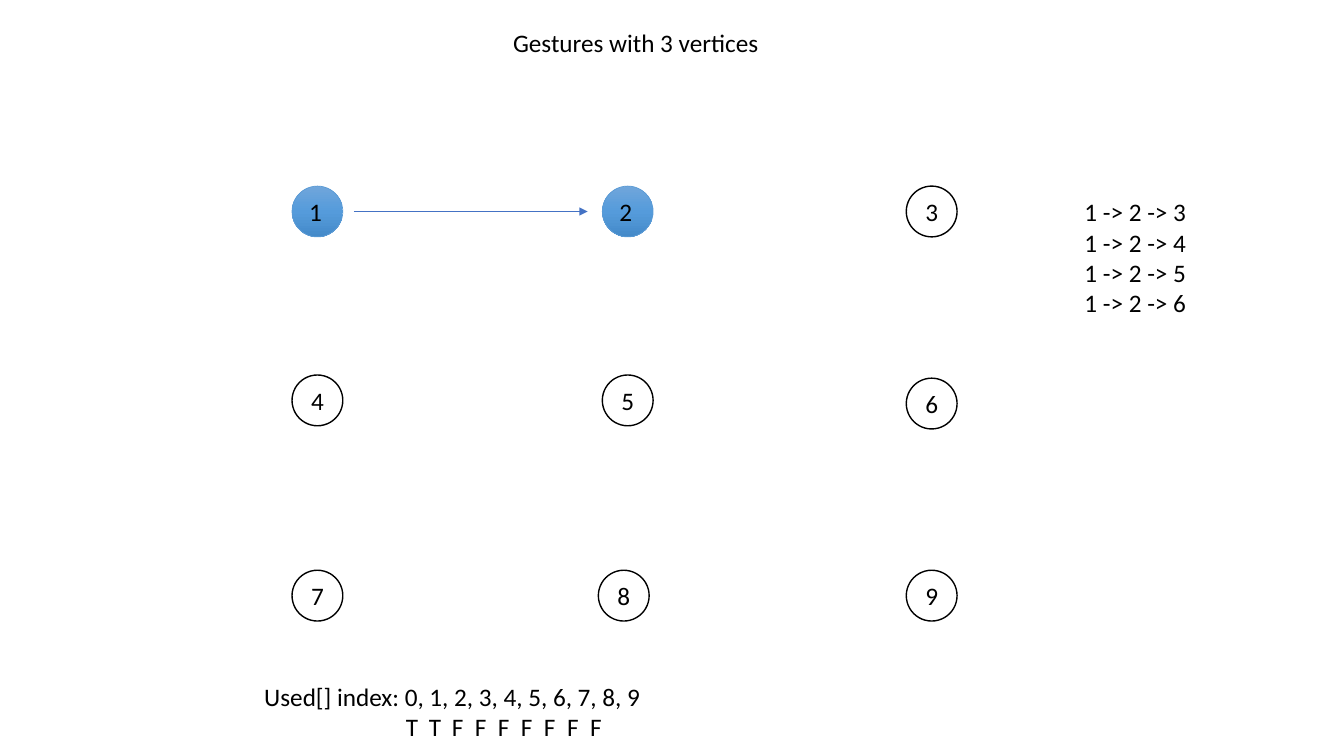
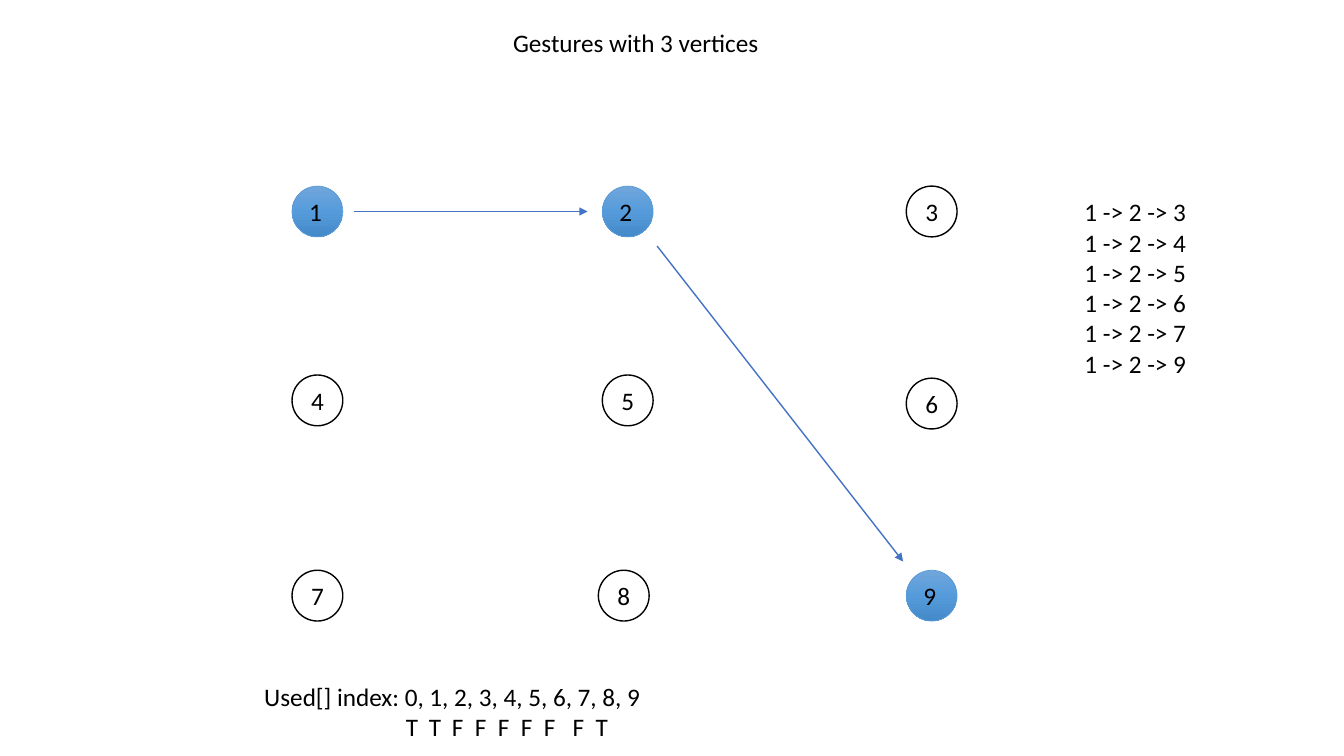
from copy import deepcopy
from dataclasses import dataclass
from typing import Any

from lxml import etree
from pptx import Presentation
from pptx import util as u
from pptx.dml import color
from pptx.enum import shapes, text
from pptx.oxml import ns

# Shared look
INK, PAPER, ARROW, EDGE = "000000", "FFFFFF", "4472C4", "5B9BD5"
SHADES = ((0, "70A6DB"), (0.5, "559BDB"), (1, "448AC9"))
FONT = {"name": "Calibri", "size": u.Pt(18)}
PAD = u.Cm(0.13)
FRAME = {
    "word_wrap": True, "vertical_anchor": text.MSO_ANCHOR.TOP,
    "margin_left": PAD, "margin_right": PAD,
    "margin_top": PAD, "margin_bottom": PAD,
}
LABEL = {
    "word_wrap": False, "vertical_anchor": text.MSO_ANCHOR.MIDDLE,
    "margin_left": 0, "margin_right": 0,
    "margin_top": 0, "margin_bottom": 0,
}

# Grid of vertices, in centimetres
COLS = (7.36, 15.18, 22.84)
ROWS = (4.69, 9.45, 14.37)
NUDGE = {6: (0, 0.08), 8: (-0.1, 0)}
SIZE = 1.28

# Tab stops of the flag row, in centimetres: GAP parts its groups
START, STEP, GAP = 3.57, 0.58, 0.14


@dataclass
class Line:
    x1: float
    y1: float
    x2: float
    y2: float


@dataclass
class Step:
    used: tuple[int, ...]
    ends: str
    flags: tuple[str, ...]
    lines: tuple[Line, ...]


FIRST = Line(8.92, 5.33, 14.81, 5.33)
STEPS = (
    Step((1, 2), "3456", ("TTFFFFFFF",), (FIRST,)),
    Step((1, 2, 9), "345679", ("TTFFFFF", "FT"),
         (FIRST, Line(16.56, 6.2, 22.76, 14.15))),
)


def rgb(code: str) -> color.RGBColor:
    return color.RGBColor.from_string(code)


def apply(item: Any, values: dict[str, Any]) -> None:
    for key, val in values.items():
        setattr(item, key, val)


def write(par: Any, words: str) -> None:
    run = par.add_run()
    run.text = words
    apply(run.font, FONT)
    run.font.color.rgb = rgb(INK)


def add_text(slide: Any, x: float, y: float, w: float, h: float,
             rows: list[str]) -> Any:
    box = slide.shapes.add_textbox(u.Cm(x), u.Cm(y), u.Cm(w), u.Cm(h))
    frame = box.text_frame
    apply(frame, FRAME)
    for i, row in enumerate(rows):
        write(frame.add_paragraph() if i else frame.paragraphs[0], row)
    return frame


def set_tabs(par: Any, groups: tuple[str, ...]) -> None:
    tabs = etree.Element(ns.qn("a:tabLst"))
    spot = START
    for group in groups:
        for _ in group:
            etree.SubElement(tabs, ns.qn("a:tab"),
                             pos=str(int(u.Cm(spot))), algn="l")
            spot += STEP
        spot += GAP
    par._p.get_or_add_pPr().append(tabs)


def shade(dot: Any) -> None:
    dot.fill.gradient()
    dot.fill.gradient_angle = 270
    stops = dot.element.spPr.find(ns.qn("a:gradFill")).find(ns.qn("a:gsLst"))
    stops.insert(1, deepcopy(stops[0]))
    for stop, (pos, code) in zip(dot.fill.gradient_stops, SHADES):
        stop.position = pos
        stop.color.rgb = rgb(code)


def add_dot(slide: Any, num: int, used: bool) -> None:
    row, col = divmod(num - 1, 3)
    dx, dy = NUDGE.get(num, (0, 0))
    dot = slide.shapes.add_shape(
        shapes.MSO_SHAPE.OVAL, u.Cm(COLS[col] + dx), u.Cm(ROWS[row] + dy),
        u.Cm(SIZE), u.Cm(SIZE))
    dot.shadow.inherit = False
    if used:
        shade(dot)
    else:
        dot.fill.solid()
        dot.fill.fore_color.rgb = rgb(PAPER)
    dot.line.color.rgb = rgb(EDGE if used else INK)
    dot.line.width = u.Pt(0.5 if used else 1)
    frame = dot.text_frame
    apply(frame, LABEL)
    if used:
        frame.margin_right = u.Cm(0.1)
    par = frame.paragraphs[0]
    par.alignment = text.PP_ALIGN.CENTER
    write(par, str(num))


def add_arrow(slide: Any, line: Line) -> None:
    arrow = slide.shapes.add_connector(
        shapes.MSO_CONNECTOR.STRAIGHT, u.Cm(line.x1), u.Cm(line.y1),
        u.Cm(line.x2), u.Cm(line.y2))
    arrow.line.color.rgb = rgb(ARROW)
    arrow.line.width = u.Pt(1)
    etree.SubElement(arrow.line._get_or_add_ln(), ns.qn("a:tailEnd"),
                     type="triangle")
    etree.SubElement(arrow.element.spPr, ns.qn("a:effectLst"))


def add_step(deck: Any, step: Step) -> None:
    slide = deck.slides.add_slide(deck.slide_layouts[6])
    add_text(slide, 12.8, 0.56, 7.19, 1, ["Gestures with 3 vertices"])

    # Vertices and the gesture drawn so far
    for num in range(1, 10):
        add_dot(slide, num, num in step.used)
    for line in step.lines:
        add_arrow(slide, line)

    # Gestures found
    found = [f"1 -> 2 -> {end}" for end in step.ends]
    add_text(slide, 27.2, 4.83, 3.61, 12.85, found)

    # Flags under their heading
    index = ", ".join(str(i) for i in range(10))
    flags = "".join("\t" + flag for flag in "".join(step.flags))
    frame = add_text(slide, 6.53, 17.04, 19.76, 1.73,
                     [f"Used[] index: {index}", flags])
    set_tabs(frame.paragraphs[1], step.flags)


def main() -> None:
    deck = Presentation()
    deck.slide_width, deck.slide_height = u.Cm(33.87), u.Cm(19.05)
    for step in STEPS:
        add_step(deck, step)
    deck.save("out.pptx")


if __name__ == "__main__":
    main()
